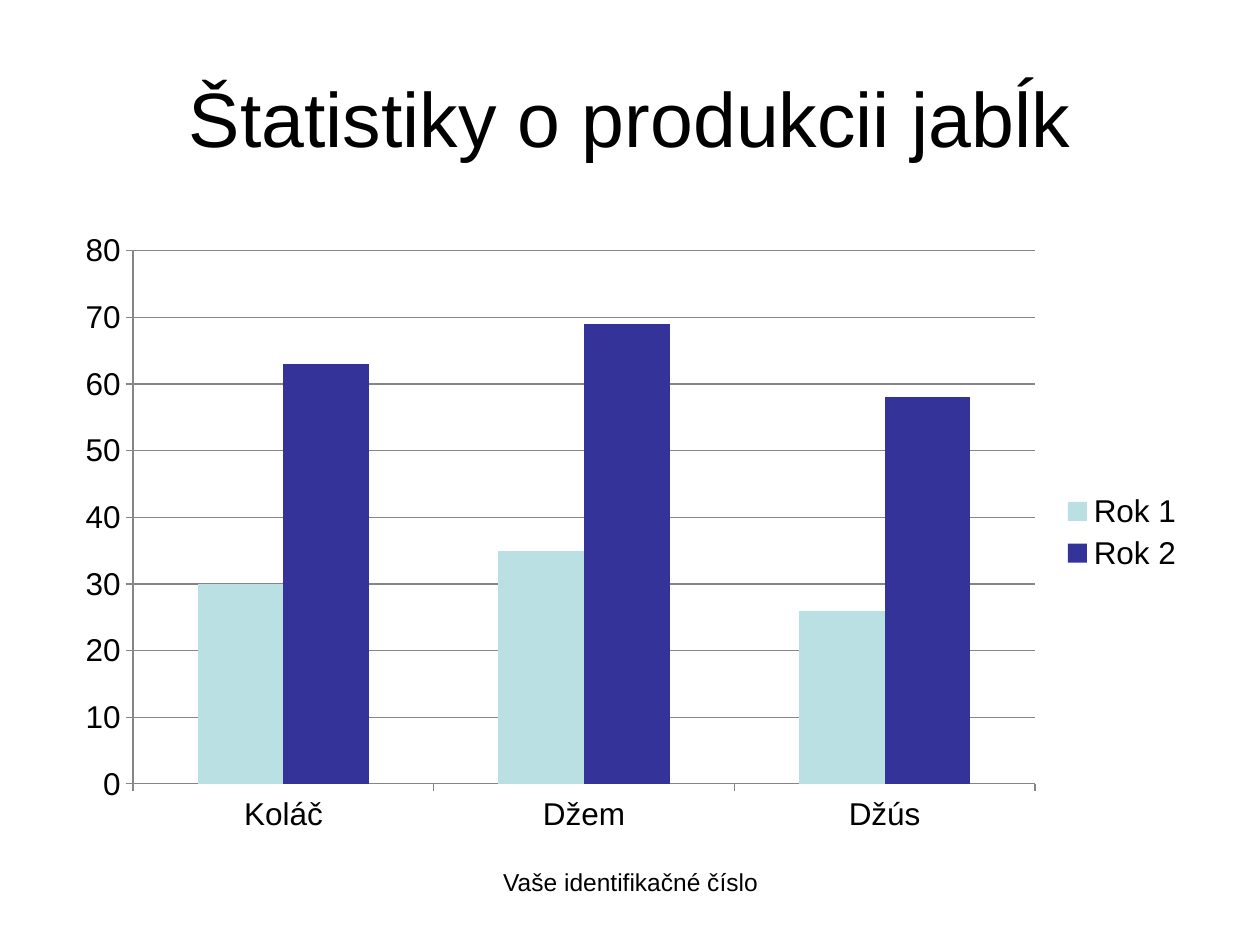
from pptx import Presentation
from pptx.chart.data import CategoryChartData
from pptx.dml.color import RGBColor
from pptx.enum.chart import XL_CHART_TYPE, XL_LEGEND_POSITION, XL_TICK_MARK
from pptx.enum.text import MSO_ANCHOR, PP_ALIGN
from pptx.util import Inches, Pt

COLUMNS = XL_CHART_TYPE.COLUMN_CLUSTERED
LEGEND_RIGHT = XL_LEGEND_POSITION.RIGHT
TICK_OUTSIDE = XL_TICK_MARK.OUTSIDE
TICK_NONE = XL_TICK_MARK.NONE
MIDDLE, TOP = MSO_ANCHOR.MIDDLE, MSO_ANCHOR.TOP
CENTER = PP_ALIGN.CENTER

BLACK = RGBColor(0x00, 0x00, 0x00)
GRAY = RGBColor(0x86, 0x86, 0x86)
PALE_TEAL = RGBColor(0xBB, 0xE0, 0xE3)
INDIGO = RGBColor(0x33, 0x33, 0x99)
FONT = "Arial"


def set_font(font, size):
    font.name = FONT
    font.size = Pt(size)
    font.color.rgb = BLACK


def write_centered(box, text, size, anchor):
    frame = box.text_frame
    frame.word_wrap = True
    frame.vertical_anchor = anchor
    frame.text = text
    para = frame.paragraphs[0]
    para.alignment = CENTER
    set_font(para.runs[0].font, size)


deck = Presentation()
deck.slide_width, deck.slide_height = Inches(10), Inches(7.5)
page = deck.slides.add_slide(deck.slide_layouts[5])

title = page.shapes.title
title.left, title.top = Inches(0.5), Inches(0.3)
title.width, title.height = Inches(9), Inches(1.25)
write_centered(title, "Štatistiky o produkcii jabĺk", 44, MIDDLE)

production = CategoryChartData()
production.categories = ["Koláč", "Džem", "Džús"]
production.add_series("Rok 1", [30, 35, 26])
production.add_series("Rok 2", [63, 69, 58])
chart = page.shapes.add_chart(
    COLUMNS, Inches(0.5), Inches(1.75), Inches(9), Inches(4.95), production
).chart
set_font(chart.font, 18)
chart.has_title = False
chart.has_legend = True
chart.legend.position = LEGEND_RIGHT
chart.legend.include_in_layout = False

plot = chart.plots[0]
plot.gap_width = 150
plot.overlap = 0
plot.vary_by_categories = False
for series, color in zip(plot.series, [PALE_TEAL, INDIGO]):
    series.format.fill.solid()
    series.format.fill.fore_color.rgb = color

value_axis = chart.value_axis
value_axis.minimum_scale = 0
value_axis.maximum_scale = 80
value_axis.major_unit = 10
value_axis.has_major_gridlines = True
for axis in (chart.category_axis, value_axis):
    axis.major_tick_mark = TICK_OUTSIDE
    axis.minor_tick_mark = TICK_NONE
for lines in (chart.category_axis, value_axis, value_axis.major_gridlines):
    lines.format.line.color.rgb = GRAY
    lines.format.line.width = Pt(0.75)

caption = page.shapes.add_textbox(Inches(3.42), Inches(6.83), Inches(3.17), Inches(0.52))
write_centered(caption, "Vaše identifikačné číslo", 14, TOP)

deck.save("out.pptx")
